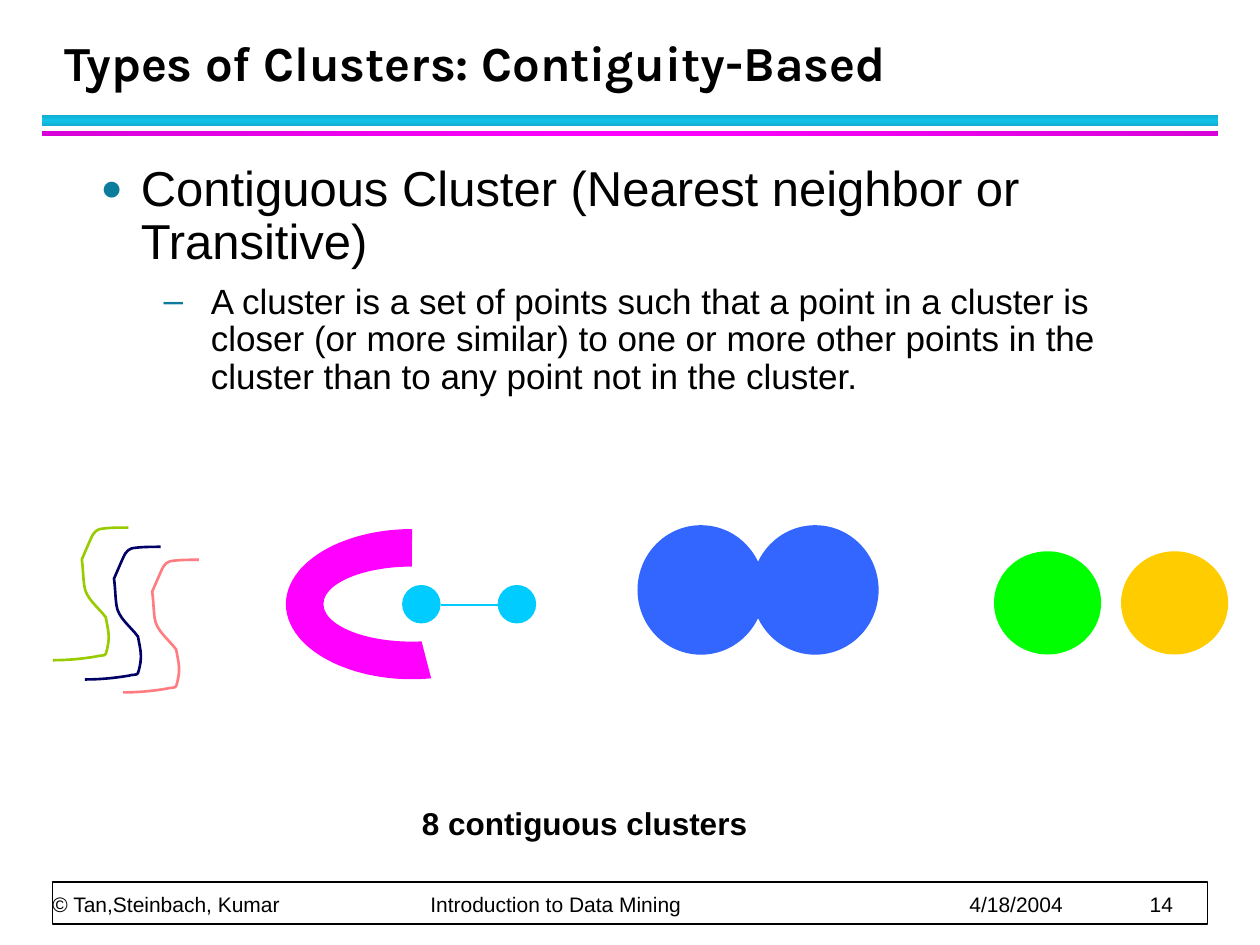
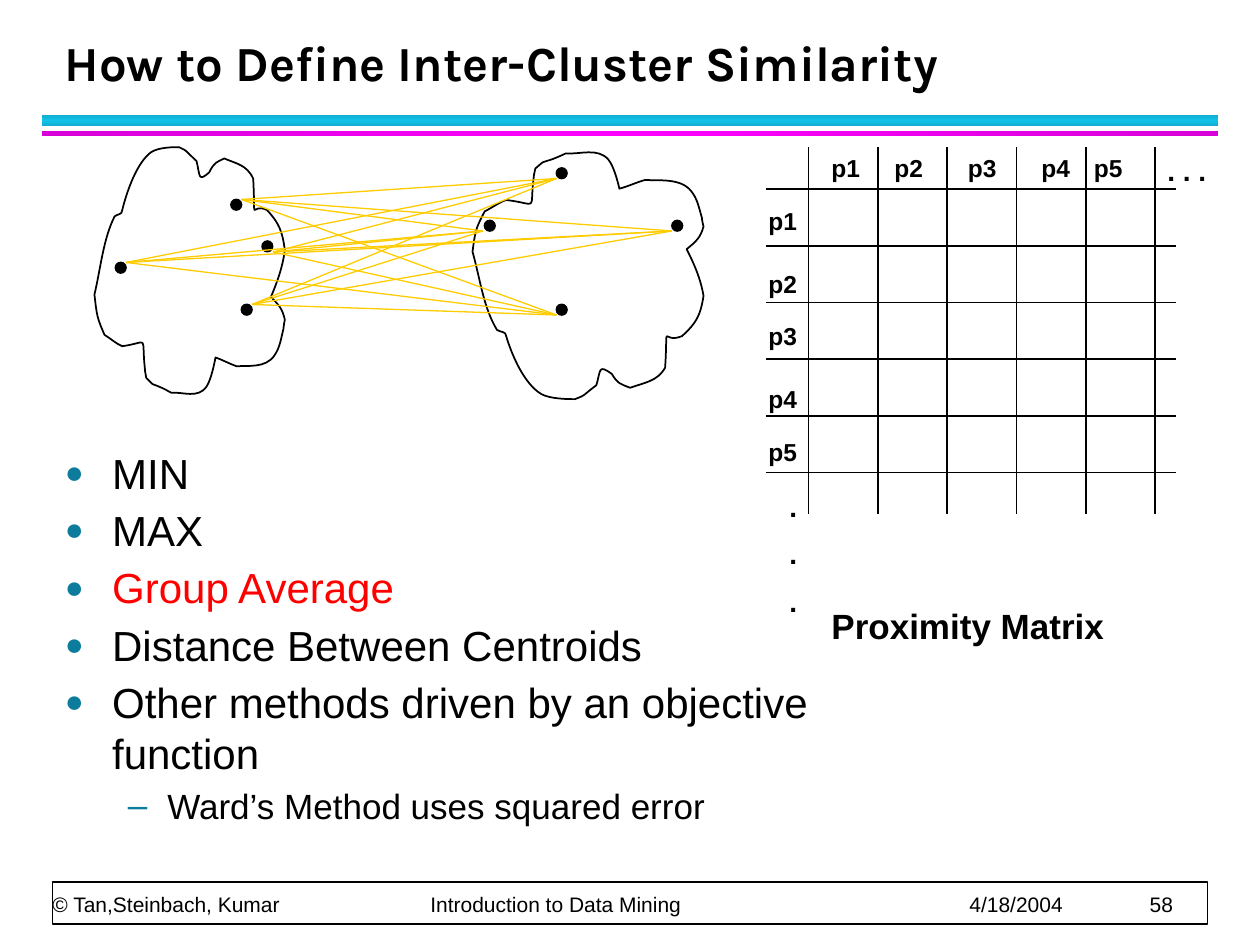
"""Build two lecture slides on contiguity-based clusters and inter-cluster similarity."""
from copy import deepcopy
from itertools import product

from lxml import etree
from pptx import Presentation
from pptx.dml.color import RGBColor
from pptx.enum import shapes, text
from pptx.oxml import ns
from pptx.util import Pt

COLORS = {
    "black": "000000", "white": "FFFFFF", "red": "FF0000", "bullet": "0C7B9C",
    "band edge": "10AFD2", "band middle": "12C2E9",
    "rule edge": "D800D8", "rule middle": "FF00FF",
    "olive": "99CC00", "navy": "000066", "pink": "FF7C80", "cyan": "00CCFF",
    "magenta": "FF00FF", "green": "00FF00", "gold": "FFCC00", "blue": "3366FF",
}
BODY_FONT, TITLE_FONT = "Arial", "Karla"

BANDS = [
    ((24, 66, 672, 6), "band edge", "band middle", 90),
    ((24, 75, 672, 3), "rule edge", "rule middle", 0),
]
FOOTER = ["© Tan,Steinbach, Kumar", "Introduction to Data Mining", "4/18/2004"]
FOOTER_TABS = [216, 524, 627]

CONTIGUITY = {"title": "Types of Clusters: Contiguity-Based", "number": 14}
DEFINITION = [
    {"text": "Contiguous Cluster (Nearest neighbor or Transitive)", "size": 28,
     "bullet": "●", "margin": 23, "hanging": 23},
    {"text": "A cluster is a set of points such that a point in a cluster is closer "
             "(or more similar) to one or more other points in the cluster than to any "
             "point not in the cluster.",
     "size": 20, "bullet": "–", "margin": 63, "hanging": 27, "level": 1, "before": 8},
]
SQUIGGLE = [
    (73.4, 301.5),
    (67.7, 301.5), (61.9, 301.5), (56.9, 302.4),
    (55.4, 303.1), (54, 303.8), (53.3, 305.3),
    (52.6, 306), (47.5, 318.2), (46.8, 319.7),
    (47.5, 324.7), (47.5, 329.8), (48.2, 334.8),
    (49, 342), (56.2, 347), (60.5, 352.8),
    (61.9, 360.7), (63.4, 364.3), (60.5, 373.7),
    (59.8, 375.1), (56.9, 374.4), (55.4, 375.1),
    (46.8, 376.6), (38.2, 377.3), (30.2, 377.3),
]
SQUIGGLE_OFFSETS = [("olive", 0, 0), ("navy", 18.4, 11), ("pink", 40.2, 18.4)]
DISCS = [
    ("cyan", 229.8, 334.3, 22, 22), ("cyan", 284.4, 334.3, 22, 22),
    ("green", 568, 315, 61.2, 59), ("gold", 640.6, 315, 61.2, 59),
    ("blue", 364.3, 300.1, 72.5, 74), ("blue", 429.6, 300.1, 72.5, 74),
]
ARC_BOX = (192.5, 273.2, 85.8, 144)
ARC_ADJUSTMENTS = [99.25, 0.06, 0.25]

SIMILARITY = {"title": "How to Define Inter-Cluster Similarity", "number": 58}
METHODS = ["MIN", "MAX", "Group Average", "Distance Between Centroids",
           "Other methods driven by an objective function"]
CHOSEN_METHOD = "Group Average"
SUB_METHOD = {"text": "Ward’s Method uses squared error", "size": 20, "bullet": "–",
              "margin": 58.5, "hanging": 22.5, "level": 1, "before": 4}
MATRIX_LEFT, MATRIX_TOP, COLUMN_STEP, ROW_STEP, GRID_LINES = 462, 108, 39.6, 32.4, 6
COLUMN_LABELS = {"p1": 468, "p2": 504, "p3": 546, "p4": 588, "p5": 618}
ROW_LABELS = {"p1": 114, "p2": 150, "p3": 180, "p4": 216, "p5": 246}
CLOUD_PERCENT = [
    (10.6, 27.5),
    (4.6, 36.5), (3.3, 48), (0, 58.5),
    (1.3, 67), (1.3, 67.5), (5.3, 74.5),
    (8.6, 76), (11.3, 78), (14.6, 79),
    (29.1, 77.5), (24.5, 74), (26.5, 88),
    (26.5, 89.5), (27.2, 90.5), (27.2, 91.5),
    (31.8, 95), (29.1, 93.5), (33.8, 95),
    (35.8, 95.5), (40.4, 97.5), (40.4, 97.5),
    (46.4, 97), (54.3, 100), (58.9, 95),
    (61.6, 92), (63.6, 83.5), (63.6, 83.5),
    (67.6, 84.5), (70.9, 86), (74.8, 87),
    (80.1, 86.5), (90.1, 88), (94.7, 82.5),
    (97.4, 79.5), (98, 76), (99.3, 72),
    (99.3, 71), (100, 68.5), (100, 68.5),
    (98.7, 64), (96.7, 62.5), (92.7, 59.5),
    (96, 53.5), (98.7, 48), (100, 41),
    (98.7, 33), (96.7, 30), (90.7, 25),
    (81.5, 21.5), (84.8, 32.5), (83.4, 12.5),
    (80.1, 7), (74.2, 6.5), (68.2, 4.5),
    (64.2, 6), (62.9, 6), (60.3, 10),
    (54.3, 14), (55.6, 11.5), (53.6, 5.5),
    (46.4, 0.5), (49.7, 2), (44.4, 0),
    (41.7, 0), (33.8, 0), (29.8, 2),
    (22.5, 6), (17.2, 17), (14.6, 25),
    (14.6, 27), (11.9, 26.5), (10.6, 27.5),
]
CLOUDS = [
    {"box": (54, 84.1, 108.8, 144), "mirrored": False,
     "dots": [(138, 174), (132, 114), (66, 150), (149.8, 137.8)]},
    {"box": (270, 84.1, 132, 144), "mirrored": True,
     "dots": [(384, 126), (276.9, 126), (318, 174), (318, 96)]},
]
LEFT_ENDS = [(144, 174), (156, 144), (72, 150), (138, 114)]
RIGHT_ENDS = [(318, 180), (276, 132), (318, 102), (384, 132)]


def rgb(name):
    return RGBColor.from_string(COLORS[name])


def points(values):
    return [Pt(value) for value in values]


def add_child(parent, tag, **attributes):
    return etree.SubElement(parent, ns.qn(tag), attributes)


def format_paragraph(paragraph, content, *, size=18, font=BODY_FONT, color="black", bold=False,
                     spacing=None, before=0, level=0, bullet=None, margin=0, hanging=0, tabs=()):
    paragraph.level = level
    paragraph.alignment = text.PP_ALIGN.LEFT
    paragraph.space_before = Pt(before)
    if spacing:
        paragraph.line_spacing = spacing
    run = paragraph.add_run()
    run.text = content
    run.font.size, run.font.name, run.font.bold = Pt(size), font, bold
    run.font.color.rgb = rgb(color)
    properties = paragraph._p.get_or_add_pPr()
    if bullet:
        properties.set("marL", str(Pt(margin)))
        properties.set("indent", str(Pt(-hanging)))
        add_child(add_child(properties, "a:buClr"), "a:srgbClr", val=COLORS["bullet"])
        if bullet == "●":
            add_child(properties, "a:buSzPct", val="75000")
        add_child(properties, "a:buFont", typeface=BODY_FONT)
        add_child(properties, "a:buChar", char=bullet)
    if tabs:
        stops = add_child(properties, "a:tabLst")
        for position in tabs:
            add_child(stops, "a:tab", pos=str(Pt(position)), algn="l")


def write(shape, paragraphs, *, anchor=text.MSO_ANCHOR.TOP, insets=(7.2, 3.6), **defaults):
    frame = shape.text_frame
    frame.word_wrap = True
    frame.auto_size = text.MSO_AUTO_SIZE.NONE
    frame.vertical_anchor = anchor
    frame.margin_left = frame.margin_right = Pt(insets[0])
    frame.margin_top = frame.margin_bottom = Pt(insets[1])
    for index, item in enumerate(paragraphs):
        paragraph = frame.add_paragraph() if index else frame.paragraphs[0]
        options = {**defaults, **(item if isinstance(item, dict) else {"text": item})}
        format_paragraph(paragraph, options.pop("text"), **options)


def add_text(slide, box, paragraphs, **options):
    write(slide.shapes.add_textbox(*points(box)), paragraphs, **options)


def style(shape, fill=None, line=None, width=1):
    shape.shadow.inherit = False
    if fill:
        shape.fill.solid()
        shape.fill.fore_color.rgb = rgb(fill)
    else:
        shape.fill.background()
    if line:
        shape.line.color.rgb = rgb(line)
        shape.line.width = Pt(width)
    else:
        shape.line.fill.background()


def add_shape(slide, kind, box, **options):
    shape = slide.shapes.add_shape(kind, *points(box))
    style(shape, **options)
    return shape


def add_line(slide, start, end, color="black", width=1):
    connector = slide.shapes.add_connector(shapes.MSO_CONNECTOR.STRAIGHT, *points(start + end))
    connector.line.color.rgb = rgb(color)
    connector.line.width = Pt(width)
    add_child(connector.element.spPr, "a:effectLst")


def add_curve(slide, controls, closed=False, **options):
    builder = slide.shapes.build_freeform(*points(controls[0]))
    builder.add_line_segments([points(control) for control in controls[1:]], close=closed)
    shape = builder.convert_to_shape()
    segments = list(shape.element.iter(ns.qn("a:lnTo")))[:len(controls) - 1]
    for index in range(0, len(segments), 3):
        curve = etree.Element(ns.qn("a:cubicBezTo"))
        segments[index].addprevious(curve)
        for segment in segments[index:index + 3]:
            curve.append(segment[0])
            segment.getparent().remove(segment)
    style(shape, **options)


def add_band(slide, box, edge, middle, angle):
    band = add_shape(slide, shapes.MSO_SHAPE.RECTANGLE, box)
    band.fill.gradient()
    band.fill.gradient_angle = angle
    stops = band.element.spPr.find(".//" + ns.qn("a:gsLst"))
    stops.insert(1, deepcopy(stops[0]))
    for stop, position, color in zip(band.fill.gradient_stops, (0, 0.5, 1), (edge, middle, edge)):
        stop.position = position
        stop.color.rgb = rgb(color)


def add_base_slide(presentation, title, number):
    slide = presentation.slides.add_slide(presentation.slide_layouts[5])
    for band in BANDS:
        add_band(slide, *band)
    add_shape(slide, shapes.MSO_SHAPE.RECTANGLE, (30, 504, 660, 24), fill="white", line="black")
    add_text(slide, (30, 504, 659, 20), ["\t".join(FOOTER + [str(number)])], size=12, spacing=1.67,
             tabs=FOOTER_TABS, anchor=text.MSO_ANCHOR.BOTTOM, insets=(0, 0))
    holder = slide.shapes.title
    holder.left, holder.top, holder.width, holder.height = points((29.7, 12.2, 652, 43.4))
    write(holder, [title], size=28, font=TITLE_FONT, bold=True, spacing=1.29,
          anchor=text.MSO_ANCHOR.BOTTOM)
    return slide


def build_contiguity(presentation):
    slide = add_base_slide(presentation, **CONTIGUITY)
    add_text(slide, (50.4, 90.2, 630, 402), DEFINITION, spacing=0.9)
    for color, dx, dy in SQUIGGLE_OFFSETS:
        add_curve(slide, [(x + dx, y + dy) for x, y in SQUIGGLE], line=color, width=1.5)
    arc = add_shape(slide, shapes.MSO_SHAPE.BLOCK_ARC, ARC_BOX, fill="magenta")
    arc.rotation = 270
    for index, value in enumerate(ARC_ADJUSTMENTS):
        arc.adjustments[index] = value
    for color, *box in DISCS:
        add_shape(slide, shapes.MSO_SHAPE.OVAL, box, fill=color)
    add_line(slide, (251.8, 345.7), (284.4, 345.7), "cyan", 1.5)
    add_text(slide, (234, 456, 252, 29), ["8 contiguous clusters"], bold=True)


def add_matrix(slide):
    for index in range(GRID_LINES):
        x, y = MATRIX_LEFT + index * COLUMN_STEP, MATRIX_TOP + index * ROW_STEP
        add_line(slide, (x, 84), (x, 294))
        add_line(slide, (438, y), (672, y))
    cells = [(label, x, 84) for label, x in COLUMN_LABELS.items()]
    cells += [(label, 432, y) for label, y in ROW_LABELS.items()]
    for label, x, y in cells:
        add_text(slide, (x, y, 42, 24), [label], size=14, bold=True)
    add_text(slide, (660, 84, 42, 27), [". . ."], size=16, bold=True)
    add_text(slide, (444, 276, 42, 84), [".", {"text": ".", "before": 8},
                                         {"text": ".", "before": 8}], size=16, bold=True)
    add_text(slide, (468, 342, 198, 31), ["Proximity Matrix"], size=20, bold=True)


def add_cloud(slide, box, mirrored, dots):
    left, top, width, height = box
    outline = [(left + width * u / 100, top + height * (100 - v if mirrored else v) / 100)
               for u, v in CLOUD_PERCENT]
    add_curve(slide, outline, closed=True, line="black")
    for x, y in dots:
        add_shape(slide, shapes.MSO_SHAPE.OVAL, (x, y, 6, 6), fill="black", line="black")


def build_similarity(presentation):
    slide = add_base_slide(presentation, **SIMILARITY)
    add_matrix(slide)
    for cloud in CLOUDS:
        add_cloud(slide, **cloud)
    for start, end in product(LEFT_ENDS, RIGHT_ENDS):
        add_line(slide, start, end, "gold", 0.75)
    methods = [{"text": method, "before": 4 if index else 0,
                "color": "red" if method == CHOSEN_METHOD else "black"}
               for index, method in enumerate(METHODS)]
    add_text(slide, (30, 252, 456, 246), methods + [SUB_METHOD], size=24, bullet="●",
             margin=27, hanging=27)


def main():
    presentation = Presentation()
    presentation.slide_width, presentation.slide_height = Pt(720), Pt(540)
    build_contiguity(presentation)
    build_similarity(presentation)
    presentation.save("out.pptx")


if __name__ == "__main__":
    main()
